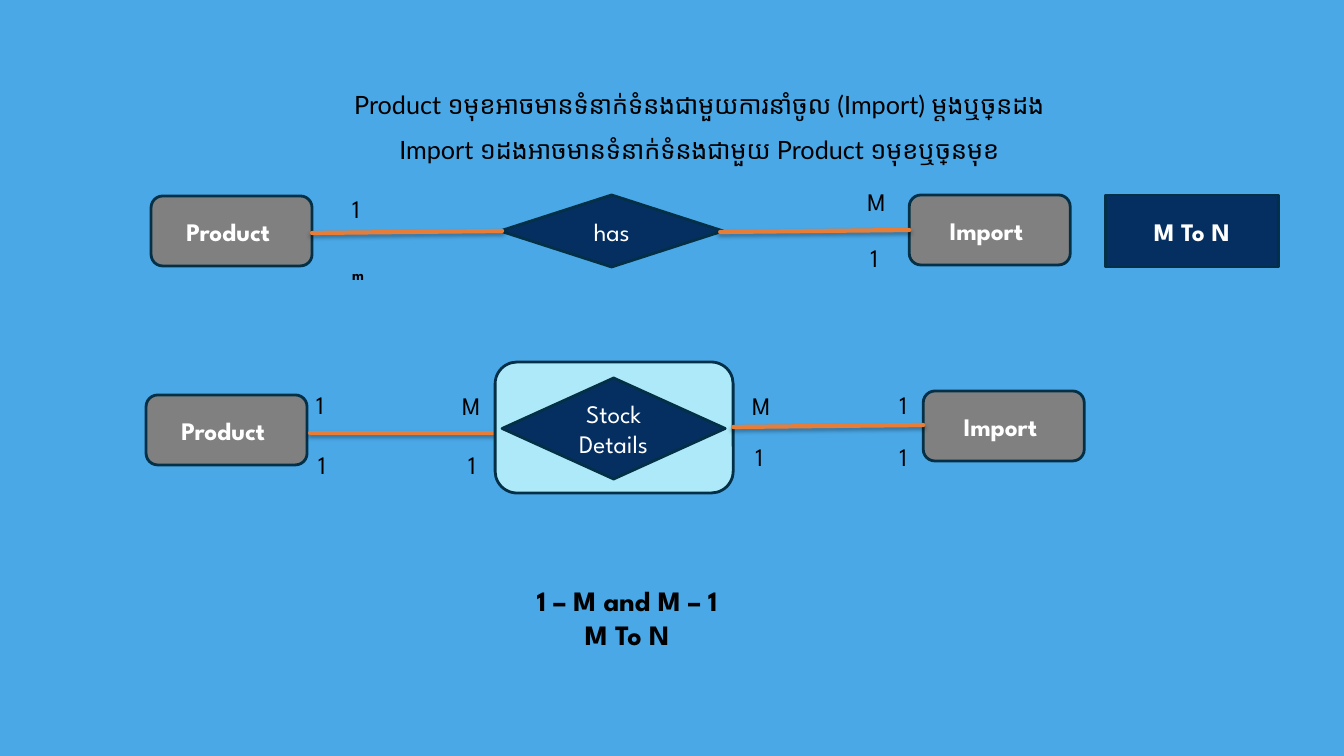
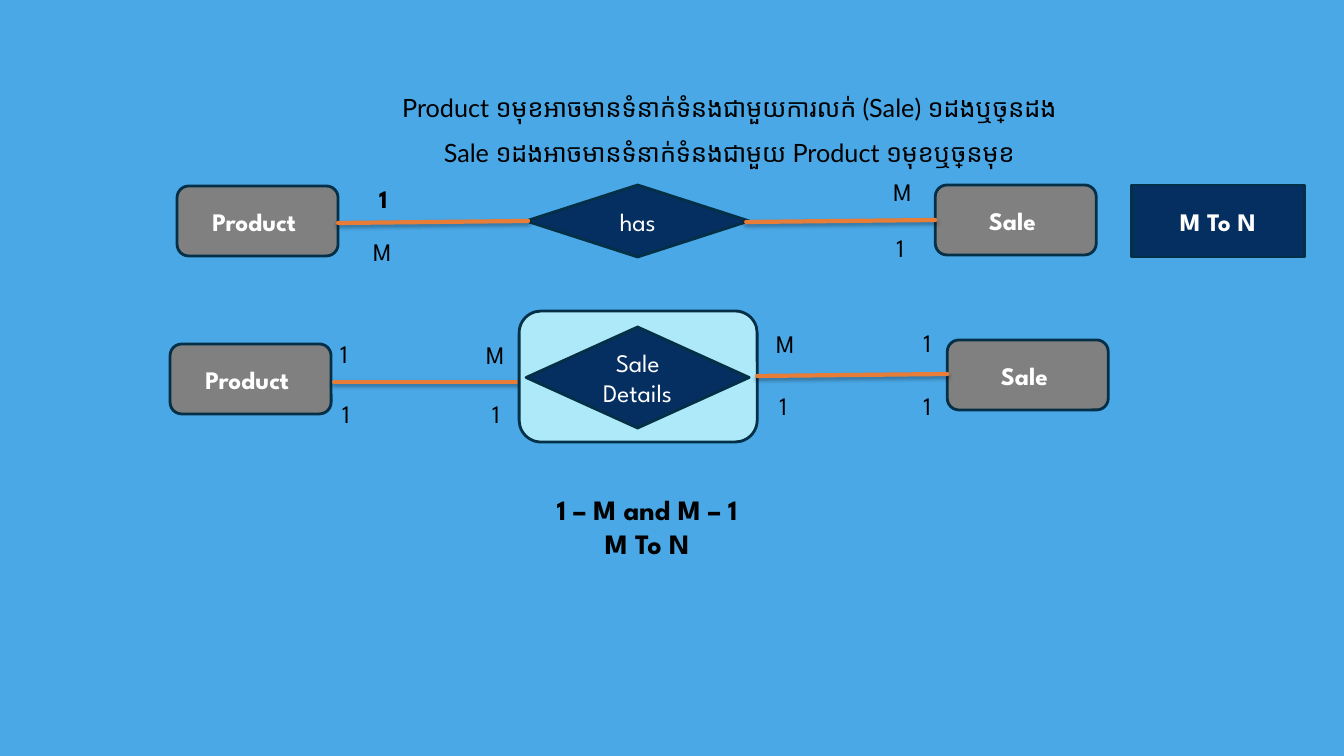
from pptx import Presentation
from pptx.dml.color import RGBColor
from pptx.enum.shapes import MSO_CONNECTOR, MSO_SHAPE
from pptx.enum.text import MSO_ANCHOR, MSO_AUTO_SIZE, PP_ALIGN
from pptx.oxml import parse_xml
from pptx.oxml.ns import nsdecls
from pptx.util import Emu, Inches, Pt

RECT, ROUNDED, DECISION = (
    MSO_SHAPE.RECTANGLE, MSO_SHAPE.ROUNDED_RECTANGLE, MSO_SHAPE.FLOWCHART_DECISION)
STRAIGHT = MSO_CONNECTOR.STRAIGHT
TOP, MIDDLE = MSO_ANCHOR.TOP, MSO_ANCHOR.MIDDLE
LEFT, CENTER = PP_ALIGN.LEFT, PP_ALIGN.CENTER
GROW = MSO_AUTO_SIZE.SHAPE_TO_FIT_TEXT

COLORS = {
    "background": "4AA8E7", "entity": "808080", "relation": "052F61",
    "outline": "033047", "frame": "ADE9F8", "link": "E87D37",
    "light": "FFFFFF", "dark": "000000",
}
HEADING_FONT, BODY_FONT = "Lato", "League Spartan"
SCALE = 914400 / 100.8
SHADOW = (
    f'<a:effectLst {nsdecls("a")}>'
    '<a:outerShdw blurRad="39370" dist="22860" dir="5400000" rotWithShape="0">'
    '<a:srgbClr val="000000"><a:alpha val="35000"/></a:srgbClr>'
    '</a:outerShdw></a:effectLst>')


def px(*values):
    return [Emu(round(v * SCALE)) for v in values]


def rgb(name):
    return RGBColor.from_string(COLORS[name])


class Deck:
    def __init__(self):
        self.prs = Presentation()
        self.prs.slide_width, self.prs.slide_height = Inches(13.33), Inches(7.5)
        fill = self.prs.slide_master.background.fill
        fill.solid()
        fill.fore_color.rgb = rgb("background")
        self.s = None

    def slide(self):
        self.s = self.prs.slides.add_slide(self.prs.slide_layouts[5])

    def put_text(self, sp, lines, size=18, font=BODY_FONT, color="dark", bold=False,
                 align=CENTER, anchor=TOP, spacing=1, baseline=0):
        tf = sp.text_frame
        tf.word_wrap = True
        tf.vertical_anchor = anchor
        for i, line in enumerate(lines):
            p = tf.add_paragraph() if i else tf.paragraphs[0]
            p.alignment = align
            p.line_spacing = spacing
            r = p.add_run()
            r.text = line
            r.font.size = Pt(size)
            r.font.name = font
            r.font.bold = bold
            r.font.color.rgb = rgb(color)
            if baseline:
                r._r.get_or_add_rPr().set("baseline", str(baseline))
        return tf

    def title(self, x, y, w, lines):
        sp = self.s.shapes.title
        sp.left, sp.top, sp.width, sp.height = px(x, y, w, 146)
        tf = self.put_text(sp, lines, font=HEADING_FONT, spacing=1.5)
        tf.auto_size = GROW

    def text(self, x, y, w, h, lines, **style):
        sp = self.s.shapes.add_textbox(*px(x, y, w, h))
        self.put_text(sp, lines, **style).auto_size = GROW

    def label(self, x, y, text, **style):
        self.text(x, y, 17 if text == "M" else 19, 40, [text], align=LEFT, **style)

    def shape(self, kind, x, y, w, h, fill, text="", bold=False):
        sp = self.s.shapes.add_shape(kind, *px(x, y, w, h))
        sp.shadow.inherit = False
        sp.fill.solid()
        sp.fill.fore_color.rgb = rgb(fill)
        sp.line.color.rgb = rgb("outline")
        sp.line.width = Pt(2)
        if text:
            self.put_text(sp, [text], color="light", bold=bold, anchor=MIDDLE)

    def entity(self, x, y, name):
        self.shape(ROUNDED, x, y, 161, 70, "entity", name + " ", bold=True)

    def decision(self, x, y, h, name):
        self.shape(DECISION, x, y, 223, h, "relation", name)

    def link(self, x1, y1, x2, y2):
        c = self.s.shapes.add_connector(STRAIGHT, *px(x1, y1, x2, y2))
        c.line.color.rgb = rgb("link")
        c.line.width = Pt(3)
        c.line._get_or_add_ln().set("cap", "rnd")
        c._element.spPr.append(parse_xml(SHADOW))

    def has_row(self, x, y, other):
        self.entity(x, y + 1, "Product")
        self.decision(x + 349, y, 72, "has")
        self.entity(x + 758, y, other)
        self.link(x + 161, y + 38, x + 351, y + 36)
        self.link(x + 569, y + 37, x + 758, y + 35)
        self.shape(RECT, x + 954, y, 173, 72, "relation", "M To N", bold=True)
        self.label(x + 709, y - 14, "M")
        self.label(x + 710, y + 42, "1")

    def details_row(self, x, y, name, other, right_top, right_bottom):
        self.entity(x, y + 33, "Product")
        self.link(x + 164, y + 71, x + 349, y + 71)
        self.shape(ROUNDED, x + 349, y, 238, 131, "frame")
        self.decision(x + 356, y + 16, 101, name)
        self.entity(x + 777, y + 29, other)
        self.link(x + 587, y + 65, x + 777, y + 63)
        for dx, dy, text in [
                (161, 22, "1"), (309, 23, "M"), (163, 82, "1"), (313, 82, "1"),
                (599, right_top + 1, "M"), (744, right_top, "1"),
                (600, right_bottom, "1"), (744, right_bottom, "1")]:
            self.label(x + dx, y + dy, text)

    def summary(self, x, y):
        self.text(x, y, 1036, 111, ["1 – M and M – 1", "M To N"], size=20, bold=True)


deck = Deck()

deck.slide()
deck.title(268, 69, 862, [
    "Product ១មុខអាចមានទំនាក់ទំនងជាមួយការនាំចូល (Import) ម្តងឬច្រើនដង",
    "Import ១ដងអាចមានទំនាក់ទំនងជាមួយ Product ១មុខឬច្រើនមុខ"])
deck.has_row(151, 195, "Import")
deck.label(343, 188, "1")
deck.label(343, 244, "m", bold=True, baseline=-25000)
deck.details_row(146, 362, "Stock Details", "Import", 22, 74)
deck.summary(109, 579)

deck.slide()
deck.title(331, 72, 796, [
    "Product ១មុខអាចមានទំនាក់ទំនងជាមួយការលក់ (Sale) ១ដងឬច្រើនដង",
    "Sale ១ដងអាចមានទំនាក់ទំនងជាមួយ Product ១មុខឬច្រើនមុខ"])
deck.has_row(177, 185, "Sale")
deck.label(370, 178, "1", bold=True)
deck.label(366, 231, "M")
deck.details_row(170, 311, "Sale Details", "Sale", 11, 74)
deck.summary(129, 488)

deck.prs.save("out.pptx")
